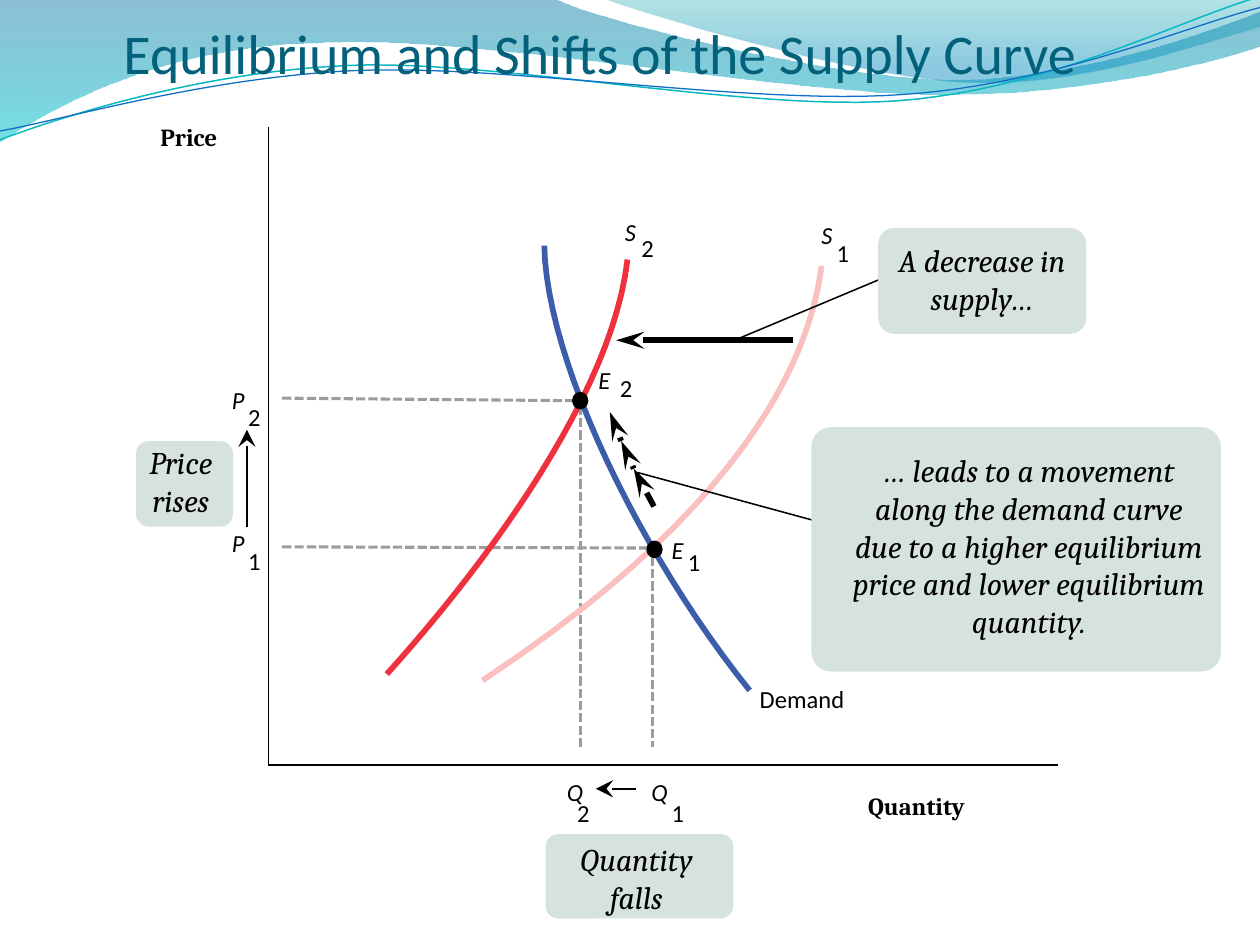
"""Draw a supply and demand chart in which supply decreases."""
from dataclasses import dataclass
from typing import Optional

from lxml.etree import SubElement
from pptx import Presentation
from pptx.dml.color import RGBColor
from pptx.enum.dml import MSO_LINE
from pptx.enum.shapes import MSO_CONNECTOR, MSO_SHAPE
from pptx.enum.text import MSO_ANCHOR, MSO_AUTO_SIZE, PP_ALIGN
from pptx.oxml.ns import qn
from pptx.util import Inches, Pt

INK = {
    "title": "04617B", "black": "000000", "dots": "9C9C9C", "box": "D6E2E0",
    "demand": "3C5DAA", "new": "EE313C", "old": "FAC0BF",
    "deep": "0074A1", "aqua": "00C6CF", "teal": "00A1A9", "sky": "008BBF",
    "cyan": "0AB8BF", "blue": "0F6FC6",
}


@dataclass
class Curve:
    start: tuple
    bends: list
    color: str = ""
    width: float = 3.25
    stops: tuple = ()


@dataclass
class Line:
    start: tuple
    end: tuple
    width: float = 0.88
    color: str = "black"
    dotted: bool = False
    head: str = ""


@dataclass
class Tag:
    letter: str
    digit: str
    at: tuple
    sub: tuple


@dataclass
class Note:
    text: str
    area: tuple
    box: Optional[tuple] = None
    curve: float = 0.15
    bold: bool = False
    anchor: MSO_ANCHOR = MSO_ANCHOR.TOP


BANDS = [
    Curve((0, -0.01), [
        (4.4, -0.01), (4.76, 0.17, 6.64, 0.63, 7.58, 0.63),
        (8.53, 0.63, 9.58, 0.26, 10, 0.09), (10.01, 0.36),
        (9.83, 0.44, 8.7, 0.76, 7.46, 0.75), (6.22, 0.75, 3.82, 0.28, 2.57, 0.34),
        (1.29, 0.36, 0.46, 0.83, -0.01, 1.13),
    ], stops=(("deep", 0, 45), ("aqua", 1, 55))),
    Curve((4.79, -0.01), [
        (5.09, 0.11, 6.82, 0.62, 7.69, 0.65), (8.56, 0.69, 9.61, 0.32, 10, 0.21),
        (10, -0.01),
    ], stops=(("teal", 0, 30), ("sky", 0.8, 45))),
    Curve((0, 1.11), [
        (0.48, 0.93, 1.58, 0.57, 2.77, 0.52), (3.95, 0.47, 5.93, 0.89, 7.13, 0.8),
        (8.33, 0.71, 9.38, 0.15, 9.98, -0.02),
    ], "cyan", 0.85),
    Curve((0, 1.04), [
        (0.47, 0.96, 1.64, 0.61, 2.83, 0.56), (4.03, 0.51, 5.97, 0.84, 7.17, 0.75),
        (8.36, 0.67, 9.41, 0.21, 10, 0.06),
    ], "blue", 0.75),
]
CURVES = [
    Curve((4.32, 1.95), [(4.34, 2.88, 5.09, 4.41, 5.95, 5.48)], "demand"),
    Curve((4.98, 2.06), [(4.86, 3.11, 3.9, 4.43, 3.07, 5.35)], "new"),
    Curve((6.52, 2.11), [(6.45, 2.67, 6.09, 3.91, 3.83, 5.4)], "old"),
]
GUIDES = [
    Line(start, end, 1.75, "dots", True) for start, end in (
        ((2.24, 3.16), (4.54, 3.18)), ((4.61, 3.22), (4.61, 5.93)),
        ((2.24, 4.34), (5.18, 4.35)), ((5.18, 4.42), (5.18, 5.93)))
]
STEPS = [(5.19, 4.02), (5.03, 3.72), (4.93, 3.5), (4.84, 3.27)]
LINES = [
    Line((2.13, 6.07), (2.13, 1.01)),
    Line((2.13, 6.07), (8.4, 6.07)),
    Line((6.29, 2.7), (4.89, 2.7), 3.25, head="med"),
    Line((1.96, 4.18), (1.96, 3.41), 1.25, head="lg"),
    Line((5.05, 6.26), (4.73, 6.26), 1.25, head="lg"),
    *(Line(a, b, 3.25, head="med") for a, b in zip(STEPS, STEPS[1:])),
    Line((5.83, 2.7), (7, 2.21)),
    Line((5.06, 3.75), (6.64, 4.18)),
]
TAGS = [
    Tag("P", "2", (1.84, 3.06), (1.97, 3.19)),
    Tag("P", "1", (1.84, 4.19), (1.97, 4.33)),
    Tag("Q", "1", (5.17, 6.17), (5.33, 6.33)),
    Tag("Q", "2", (4.5, 6.17), (4.58, 6.33)),
    Tag("E", "1", (5.33, 4.25), (5.46, 4.34)),
    Tag("E", "2", (4.75, 2.9), (4.92, 2.96)),
    Tag("S", "1", (6.52, 1.75), (6.64, 1.89)),
    Tag("S", "2", (4.96, 1.72), (5.09, 1.85)),
]
NOTES = [
    Note("Price ", (0.83, 0.92, 1.38, 0.34), bold=True),
    Note("Quantity ", (6.1, 6.23, 2.39, 0.34), bold=True),
    Note("Price rises", (1.02, 3.47, 0.83, 0.71), (1.08, 3.5, 0.77, 0.68)),
    Note("Quantity falls", (4.36, 6.62, 1.38, 0.71), (4.33, 6.62, 1.49, 0.67)),
    Note("A decrease in supply…", (6.83, 1.86, 1.93, 0.71),
         (6.97, 1.81, 1.65, 0.84), anchor=MSO_ANCHOR.MIDDLE),
    Note("… leads to a movement along the demand curve due to a higher "
         "equilibrium price and lower equilibrium quantity.",
         (6.64, 3.53, 3.05, 1.62), (6.44, 3.39, 3.25, 1.94), 0.08),
]


def tint(name: str) -> RGBColor:
    return RGBColor.from_string(INK[name])


def write(frame, text: str, *, size=14, font="Calibri", color="black", bold=False,
          italic=False, align=PP_ALIGN.LEFT, anchor=MSO_ANCHOR.TOP,
          pad=(0, 0, 0, 0), wrap=False) -> None:
    frame.auto_size = MSO_AUTO_SIZE.NONE
    frame.word_wrap, frame.vertical_anchor = wrap, anchor
    (frame.margin_left, frame.margin_top,
     frame.margin_right, frame.margin_bottom) = map(Inches, pad)
    para = frame.paragraphs[0]
    para.alignment = align
    run = para.add_run()
    run.text = text
    run.font.size, run.font.name = Pt(size), font
    run.font.bold, run.font.italic = bold, italic
    run.font.color.rgb = tint(color)


def label(shapes, text: str, area: tuple, **style) -> None:
    write(shapes.add_textbox(*map(Inches, area)).text_frame, text, **style)


def trace(curve: Curve, steps: int = 24) -> list:
    points = [curve.start]
    for bend in curve.bends:
        if len(bend) == 2:
            points.append(bend)
            continue
        knots = [points[-1], bend[:2], bend[2:4], bend[4:]]
        for step in range(1, steps + 1):
            t = step / steps
            mix = ((1 - t) ** 3, 3 * t * (1 - t) ** 2, 3 * t * t * (1 - t), t ** 3)
            points.append(tuple(
                sum(m * k[axis] for m, k in zip(mix, knots)) for axis in (0, 1)))
    return [(Inches(x), Inches(y)) for x, y in points]


def sweep(shapes, curve: Curve) -> None:
    first, *rest = trace(curve)
    pen = shapes.build_freeform(*first)
    pen.add_line_segments(rest, close=bool(curve.stops))
    shape = pen.convert_to_shape()
    shape.shadow.inherit = False
    if not curve.stops:
        shape.fill.background()
        shape.line.color.rgb, shape.line.width = tint(curve.color), Pt(curve.width)
        return
    shape.line.fill.background()
    shape.fill.gradient()
    shape.fill.gradient_angle = 270
    for stop, (name, place, _) in zip(shape.fill.gradient_stops, curve.stops):
        stop.color.rgb, stop.position = tint(name), place
    tones = shape._element.spPr.iter(qn("a:srgbClr"))
    for tone, (_, _, alpha) in zip(tones, curve.stops):
        SubElement(tone, qn("a:alpha"), val=str(alpha * 1000))


def rule(shapes, line: Line) -> None:
    wire = shapes.add_connector(
        MSO_CONNECTOR.STRAIGHT, *map(Inches, line.start + line.end))
    wire.line.color.rgb, wire.line.width = tint(line.color), Pt(line.width)
    if line.dotted:
        wire.line.dash_style = MSO_LINE.SQUARE_DOT
    if line.head:
        SubElement(wire._element.spPr.find(qn("a:ln")), qn("a:tailEnd"),
                   type="stealth", w=line.head, len="lg")
    SubElement(wire._element.spPr, qn("a:effectLst"))


def block(shapes, kind: MSO_SHAPE, area: tuple, color: str):
    shape = shapes.add_shape(kind, *map(Inches, area))
    shape.shadow.inherit = False
    shape.fill.solid()
    shape.fill.fore_color.rgb = tint(color)
    shape.line.fill.background()
    return shape


def jot(shapes, note: Note) -> None:
    if note.box:
        shape = block(shapes, MSO_SHAPE.ROUNDED_RECTANGLE, note.box, "box")
        shape.adjustments[0] = note.curve
    label(shapes, note.text, note.area, size=14 if note.bold else 18,
          font="Cambria", bold=note.bold, italic=not note.bold,
          align=PP_ALIGN.CENTER, anchor=note.anchor,
          pad=(0.1, 0.05, 0.1, 0.05), wrap=True)


def main() -> None:
    deck = Presentation()
    deck.slide_width, deck.slide_height = Inches(10), Inches(7.5)
    shapes = deck.slides.add_slide(deck.slide_layouts[5]).shapes
    for band in BANDS:
        sweep(shapes, band)
    title = shapes.title
    title.left, title.top, title.width, title.height = map(
        Inches, (0.98, 0.07, 9.02, 0.61))
    write(title.text_frame, "Equilibrium and Shifts of the Supply Curve", size=32,
          color="title", anchor=MSO_ANCHOR.BOTTOM, pad=(0, 0.05, 0, 0), wrap=True)
    title._element.getparent().append(title._element)
    for guide in GUIDES:
        rule(shapes, guide)
    for curve in CURVES:
        sweep(shapes, curve)
    for spot in ((5.13, 4.29), (4.54, 3.11)):
        block(shapes, MSO_SHAPE.OVAL, spot + (0.13, 0.14), "black")
    for line in LINES:
        rule(shapes, line)
    for tag in TAGS:
        label(shapes, tag.letter, tag.at + (0.13, 0.24), italic=True)
        label(shapes, tag.digit, tag.sub + (0.11, 0.19))
    label(shapes, "Demand", (6.03, 5.43, 0.73, 0.19))
    for note in NOTES:
        jot(shapes, note)
    deck.save("out.pptx")


if __name__ == "__main__":
    main()
